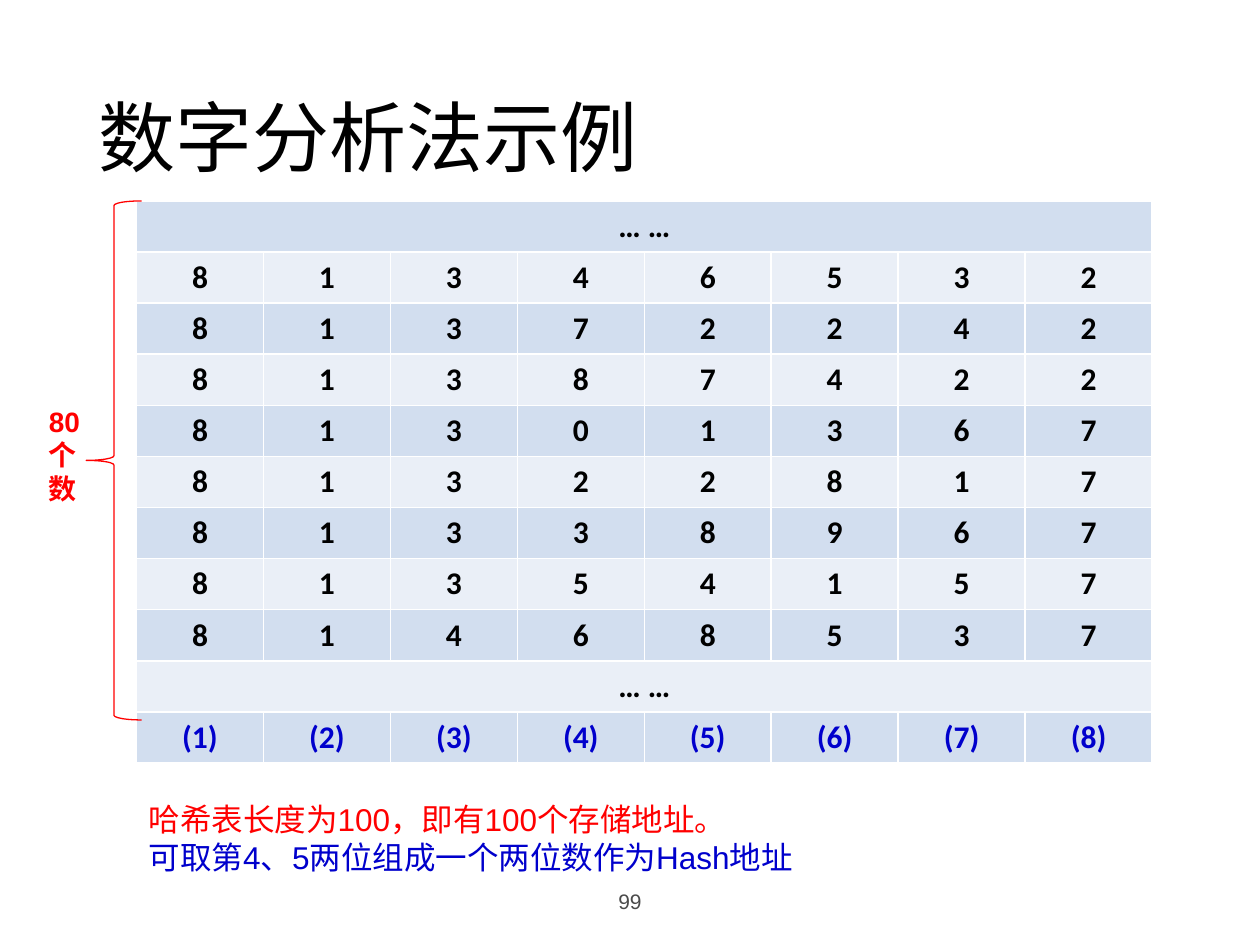
from lxml import etree
from pptx import Presentation
from pptx.dml.color import RGBColor
from pptx.enum import shapes, text
from pptx.oxml import ns
from pptx.util import Pt

HEX = {
    "black": "000000",
    "red": "FF0000",
    "blue": "0000CC",
    "grey": "4B4B4B",
    "white": "FFFFFF",
    "dark": "D2DEEF",
    "light": "EAEFF7",
}
DOTS = "… …"
KEYS = ["81346532", "81372242", "81387422", "81301367",
        "81322817", "81338967", "81354157", "81468537"]
COLS = 8
ROW_H = 29.2
COL_W = 72.54


def rgb(name):
    return RGBColor.from_string(HEX[name])


def style(par, size, font, color, bold=False):
    for run in par.runs:
        run.font.size = Pt(size)
        run.font.name = font
        run.font.bold = bold
        run.font.color.rgb = rgb(color)


def add_text(slide, box, lines, size, font="Arial", bold=False,
             align=None, anchor=text.MSO_ANCHOR.TOP, space=None):
    """Add a text box; lines is a list of (words, color)."""
    frame = slide.shapes.add_textbox(*map(Pt, box)).text_frame
    frame.word_wrap = True
    frame.vertical_anchor = anchor
    frame.text = "\n".join(words for words, _ in lines)
    for par, (_, color) in zip(frame.paragraphs, lines):
        par.alignment = align
        par.line_spacing = space
        style(par, size, font, color, bold)


def add_edges(cell):
    """Give a cell thin white borders on all four sides."""
    props = cell._tc.get_or_add_tcPr()
    for side in ("lnL", "lnR", "lnT", "lnB"):
        line = etree.SubElement(props, ns.qn(f"a:{side}"), w=str(Pt(1)))
        fill = etree.SubElement(line, ns.qn("a:solidFill"))
        etree.SubElement(fill, ns.qn("a:srgbClr"), val=HEX["white"])


def fill_cell(cell, words, back, color):
    add_edges(cell)
    cell.fill.solid()
    cell.fill.fore_color.rgb = rgb(back)
    cell.vertical_anchor = text.MSO_ANCHOR.MIDDLE
    cell.text_frame.text = words
    par = cell.text_frame.paragraphs[0]
    par.alignment = text.PP_ALIGN.CENTER
    style(par, 18, "Calibri", color, True)


def add_grid(slide, left, top):
    """Add the key table, with rows of dots across its full width."""
    marks = [f"({n})" for n in range(1, COLS + 1)]
    rows = [[DOTS], *KEYS, [DOTS], marks]
    grid = slide.shapes.add_table(
        len(rows), COLS, Pt(left), Pt(top),
        Pt(COL_W * COLS), Pt(ROW_H * len(rows))).table
    grid.first_row = False
    grid.horz_banding = False
    for col in grid.columns:
        col.width = Pt(COL_W)
    for r, row in enumerate(rows):
        grid.rows[r].height = Pt(ROW_H)
        back = "light" if r % 2 else "dark"
        color = "blue" if row is marks else "black"
        if len(row) == 1:
            grid.cell(r, 0).merge(grid.cell(r, COLS - 1))
        for c, words in enumerate(row):
            fill_cell(grid.cell(r, c), words, back, color)


def add_brace(slide, box):
    brace = slide.shapes.add_shape(
        shapes.MSO_SHAPE.LEFT_BRACE, *map(Pt, box))
    brace.shadow.inherit = False
    brace.fill.background()
    brace.line.color.rgb = rgb("red")
    brace.line.width = Pt(0.75)


def main():
    deck = Presentation()
    deck.slide_width, deck.slide_height = Pt(720), Pt(540)
    slide = deck.slides.add_slide(deck.slide_layouts[6])
    middle = text.MSO_ANCHOR.MIDDLE

    # Title
    add_text(slide, (49.5, 28.75, 621, 104.4), [("数字分析法示例", "black")],
             44, "Calibri", anchor=middle, space=0.9)

    # Key table
    add_grid(slide, 78, 114.8)

    # Page number
    add_text(slide, (238.5, 500.5, 243, 28.75), [("99", "grey")], 12,
             align=text.PP_ALIGN.CENTER, anchor=middle)

    # Brace and its label
    add_brace(slide, (49.3, 114.8, 31.7, 296.6))
    add_text(slide, (20.9, 227.5, 42.5, 65.5), [("80个数", "red")], 16,
             bold=True)

    # Conclusion
    add_text(slide, (77.8, 453.6, 579, 51), [
        ("哈希表长度为100，即有100个存储地址。", "red"),
        ("可取第4、5两位组成一个两位数作为Hash地址", "blue"),
    ], 18)

    deck.save("out.pptx")


if __name__ == "__main__":
    main()
